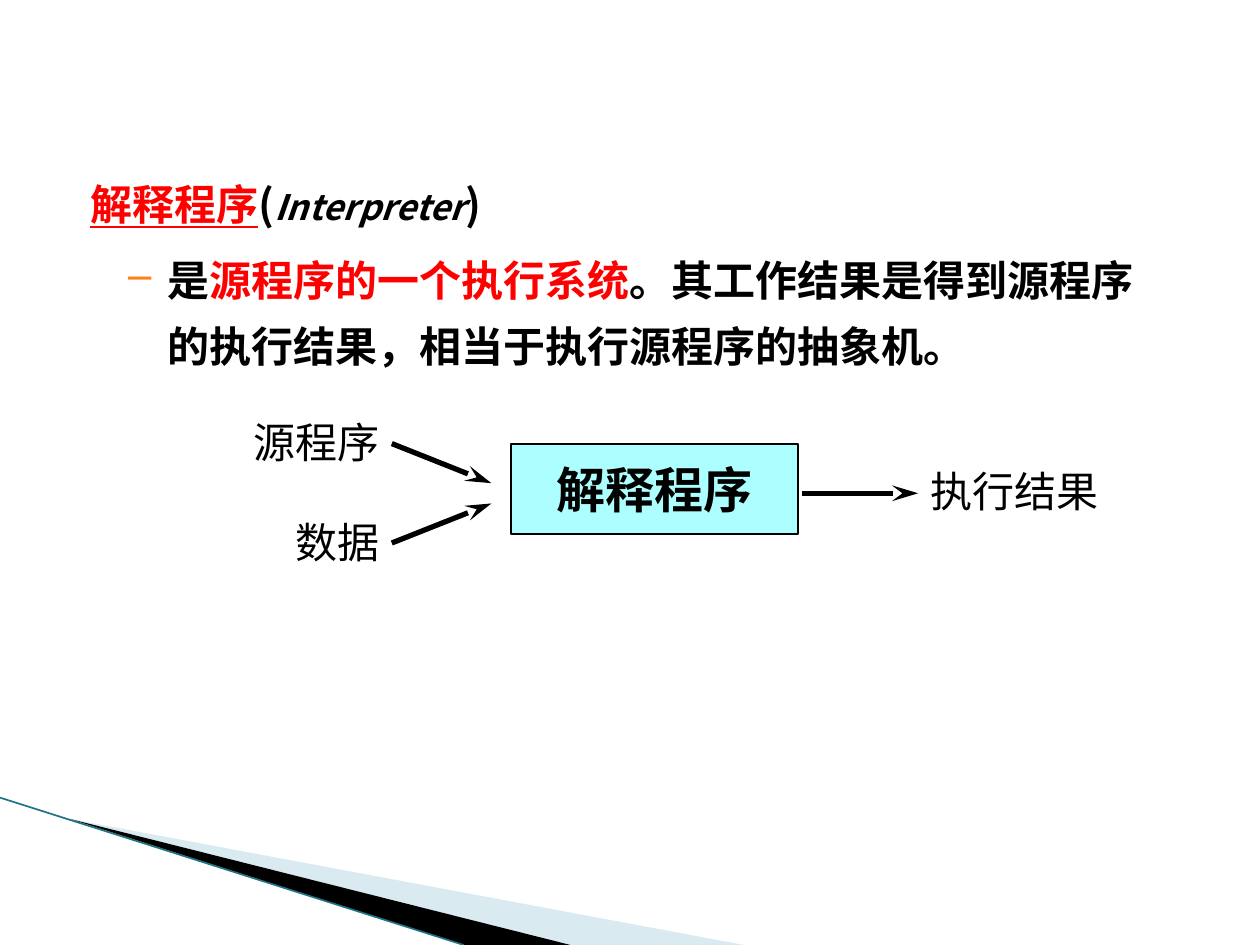
from lxml import etree
from pptx import Presentation
from pptx import util as u
from pptx.dml.color import RGBColor
from pptx.enum import shapes, text
from pptx.oxml import ns

Pt = u.Pt
HUES = {"ink": "000000", "red": "FF0000", "dash": "FF8119", "pale": "A0CBDC",
        "edge": "1F7383", "box": "ADFFFF"}
SANS, SERIF = "Noto Sans CJK SC", "Times New Roman"


def hue(name):
    """Return the named colour."""
    return RGBColor.from_string(HUES[name])


def sub(node, tag, **attrs):
    """Append a drawing element to a node."""
    return etree.SubElement(node, ns.qn(tag), **attrs)


def style(run, size, tint="ink", face=SERIF, bold=False):
    """Format a run, with a matching face for Chinese."""
    font = run.font
    font.size, font.bold, font.name = Pt(size), bold, face
    font.color.rgb = hue(tint)
    sub(run._r.get_or_add_rPr(), "a:ea", typeface=SANS)


def wedge(slide, points, tint, alpha=100):
    """Draw a filled corner wedge without an outline."""
    build = slide.shapes.build_freeform(*points[0], scale=Pt(1))
    build.add_line_segments(points[1:], close=True)
    shape = build.convert_to_shape()
    shape.shadow.inherit = False
    shape.fill.solid()
    shape.fill.fore_color.rgb = hue(tint)
    shape.line.fill.background()
    if alpha < 100:
        color = shape.fill._xPr.find(".//" + ns.qn("a:srgbClr"))
        sub(color, "a:alpha", val=str(alpha * 1000))


def rule(slide, start, end, tint="ink", width=3, head=True):
    """Draw a straight line, with an arrowhead if wanted."""
    line = slide.shapes.add_connector(
        shapes.MSO_CONNECTOR.STRAIGHT, *map(Pt, start + end))
    line.line.color.rgb = hue(tint)
    line.line.width = Pt(width)
    if head:
        sub(line.line._get_or_add_ln(), "a:tailEnd", type="stealth", len="lg")
    sub(line._element.spPr, "a:effectLst")


def corner(slide, left, top, width, height):
    """Draw the swoosh in the bottom corner."""
    low = top + height
    tip = (left + 39.6, top + 12.3)
    wedge(slide, [tip, (left + width, low), (left + 325.7, low)], "pale", 40)
    wedge(slide, [tip, (left + 325.7, low), (left + 265, low)], "ink")
    rule(slide, (left, top), (left + 265, low), "edge", 0.95, False)


def body(slide, left, top, width, height):
    """Write the term and its definition."""
    frame = slide.shapes.add_textbox(*map(Pt, (left, top, width, height))).text_frame
    frame.word_wrap = True
    term, note = frame.paragraphs[0], frame.add_paragraph()
    term.line_spacing, note.line_spacing = 0.9, 1.3
    note.space_before = Pt(5.8)
    note.level = 1
    for para, margin, indent in ((term, 14.4, 0), (note, 58.3, -22.3)):
        props = para._p.get_or_add_pPr()
        props.set("marL", str(Pt(margin)))
        props.set("indent", str(Pt(indent)))
    sub(sub(props, "a:buClr"), "a:srgbClr", val=HUES["dash"])
    sub(props, "a:buChar", char="–")
    parts = [
        (term, "解释程序", 24, "red"), (term, "(", 24, "ink"),
        (term, "Interpreter", 20, "ink"), (term, ")", 24, "ink"),
        (note, "是", 24, "ink"), (note, "源程序的一个执行系统", 24, "red"),
        (note, "。其工作结果是得到源程序的执行结果，相当于执行源程序的抽象机。", 24, "ink"),
    ]
    for para, words, size, tint in parts:
        run = para.add_run()
        run.text = words
        style(run, size, tint, SANS, True)
    term.runs[0].font.underline = True
    term.runs[2].font.italic = True


def label(slide, words, left, top, width, align):
    """Place a one-line label of the diagram."""
    frame = slide.shapes.add_textbox(*map(Pt, (left, top, width, 36))).text_frame
    frame.word_wrap = True
    frame.text = words
    para = frame.paragraphs[0]
    para.alignment = align
    style(para.runs[0], 24)


def flow(slide, left, top, width, height):
    """Draw inputs, interpreter and result."""
    side = text.PP_ALIGN
    label(slide, "源程序", left, top, 113, side.RIGHT)
    label(slide, "数据", left, top + 57, 113, side.RIGHT)
    label(slide, "执行结果", left + width - 113, top + 28, 113, side.LEFT)
    box = slide.shapes.add_shape(
        shapes.MSO_SHAPE.RECTANGLE, *map(Pt, (left + 181, top + 19.2, 164.2, 51.1)))
    box.shadow.inherit = False
    box.fill.solid()
    box.fill.fore_color.rgb = hue("box")
    box.line.color.rgb = hue("ink")
    box.line.width = Pt(1)
    frame = box.text_frame
    frame.word_wrap = False
    frame.vertical_anchor = text.MSO_ANCHOR.MIDDLE
    frame.text = "解释程序"
    frame.paragraphs[0].alignment = side.CENTER
    style(frame.paragraphs[0].runs[0], 28, bold=True)
    mid = top + 47.2
    rule(slide, (left + 347.5, mid), (left + width - 113, mid))
    for sign in (-1, 1):
        rule(slide, (left + 113, mid + sign * 28.4), (left + 169.9, mid + sign * 5.8))


def main():
    """Build and save the slide."""
    deck = Presentation()
    deck.slide_width, deck.slide_height = Pt(720), Pt(540)
    slide = deck.slides.add_slide(deck.slide_layouts[6])
    corner(slide, 0, 455.8, 425, 84.2)
    body(slide, 30.2, 101.7, 635.8, 113.8)
    flow(slide, 110.9, 234.7, 526.8, 93)
    deck.save("out.pptx")


if __name__ == "__main__":
    main()
